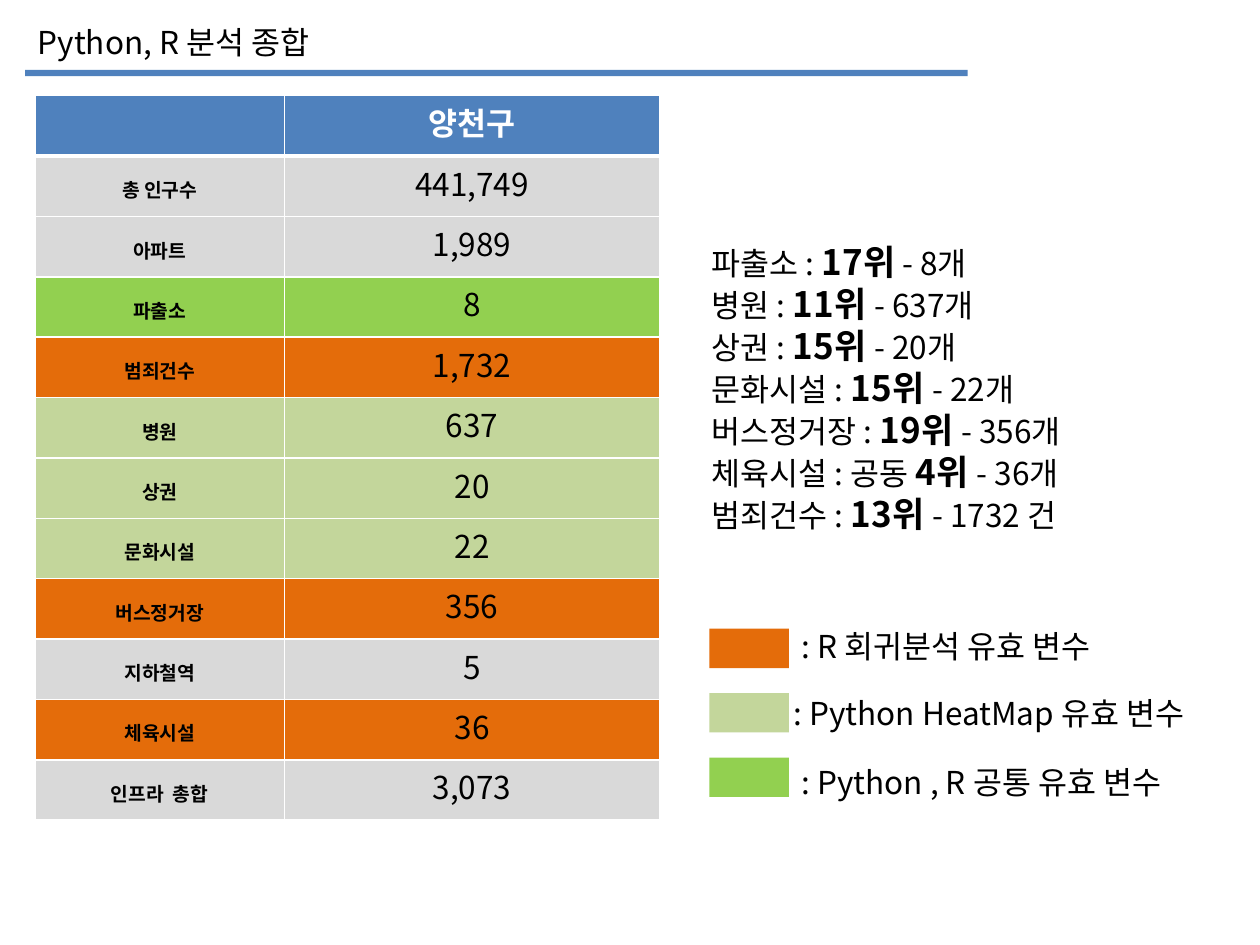
from lxml.etree import SubElement
from pptx import Presentation
from pptx.dml.color import RGBColor
from pptx.enum.shapes import MSO_SHAPE
from pptx.enum.text import MSO_ANCHOR, PP_ALIGN
from pptx.oxml.ns import qn
from pptx.util import Pt

COLORS = {"blue": "4F81BD", "gray": "D9D9D9", "green": "92D050", "orange": "E46C0A",
          "sage": "C3D69B", "white": "FFFFFF", "black": "000000"}
FONT = "Noto Sans CJK KR"

ROWS = [("총 인구수", "441,749", "gray"), ("아파트", "1,989", "gray"),
        ("파출소", "8", "green"), ("범죄건수", "1,732", "orange"),
        ("병원", "637", "sage"), ("상권", "20", "sage"),
        ("문화시설", "22", "sage"), ("버스정거장", "356", "orange"),
        ("지하철역", "5", "gray"), ("체육시설", "36", "orange"),
        ("인프라  총합", "3,073", "gray")]
RANKS = [("파출소 : ", "17위", " - 8개"), ("병원 : ", "11위 ", "- 637개"),
         ("상권 : ", "15위 ", "- 20개"), ("문화시설 : ", "15위 ", "- 22개"),
         ("버스정거장 : ", "19위 ", "- 356개"), ("체육시설 : 공동 ", "4위 ", "- 36개"),
         ("범죄건수 : ", "13위 ", "- 1732 건")]
LEGEND = [("orange", ": R 회귀분석 유효 변수", 451, 355),
          ("sage", ": Python HeatMap 유효 변수", 446.5, 393),
          ("green", ": Python , R 공통 유효 변수", 451, 432.5)]


def rgb(name):
    return RGBColor.from_string(COLORS[name])


class SlideBuilder:
    def __init__(self, prs):
        self.s = prs.slides.add_slide(prs.slide_layouts[1])

    def place(self, sp, left, top, width, height):
        box = {"left": left, "top": top, "width": width, "height": height}
        for name, value in box.items():
            setattr(sp, name, Pt(value))

    def run(self, p, text, size=18, bold=False, color="black"):
        r = p.add_run()
        r.text = text
        for name, value in {"size": Pt(size), "bold": bold, "name": FONT}.items():
            setattr(r.font, name, value)
        r.font.color.rgb = rgb(color)
        SubElement(r.font._element, qn("a:ea"), typeface=FONT)

    def paragraph(self, p, runs, spacing, align=PP_ALIGN.LEFT):
        """Fill a paragraph from (text, format values) pairs, at an exact line pitch."""
        layout = {"alignment": align, "line_spacing": Pt(spacing),
                  "space_before": Pt(0), "space_after": Pt(0)}
        for name, value in layout.items():
            setattr(p, name, value)
        for text, style in runs:
            self.run(p, text, **style)

    def frame(self, tf, wrap, anchor=MSO_ANCHOR.TOP):
        tf.word_wrap = wrap
        tf.vertical_anchor = anchor

    def title(self, text, *box):
        sp = self.s.shapes.title
        self.place(sp, *box)
        self.frame(sp.text_frame, False)
        self.paragraph(sp.text_frame.paragraphs[0], [(text, {})], 21.6)

    def ranking(self, lines, *box):
        sp = self.s.placeholders[1]
        self.place(sp, *box)
        tf = sp.text_frame
        self.frame(tf, True)
        for i, (label, rank, count) in enumerate(lines):
            p = tf.add_paragraph() if i else tf.paragraphs[0]
            self.paragraph(p, [(label, {}), (rank, {"size": 20, "bold": True}), (count, {})], 24)
            pPr = p._p.get_or_add_pPr()
            pPr.set("marL", "0")
            pPr.set("indent", "0")
            SubElement(pPr, qn("a:buNone"))

    def rect(self, color, *box):
        sp = self.s.shapes.add_shape(MSO_SHAPE.RECTANGLE, *map(Pt, box))
        sp.shadow.inherit = False
        sp.fill.solid()
        sp.fill.fore_color.rgb = rgb(color)
        sp.line.fill.background()

    def text(self, text, *box):
        tf = self.s.shapes.add_textbox(*map(Pt, box)).text_frame
        self.frame(tf, False)
        self.paragraph(tf.paragraphs[0], [(text, {})], 21.6)

    def borders(self, cell, bottom):
        tcPr = cell._tc.get_or_add_tcPr()
        for i, (side, width) in enumerate([("L", 1), ("R", 1), ("T", 1), ("B", bottom)]):
            ln = SubElement(tcPr, qn(f"a:ln{side}"), w=str(Pt(width)))
            tcPr.insert(i, ln)
            fill = SubElement(ln, qn("a:solidFill"))
            SubElement(fill, qn("a:srgbClr"), val=COLORS["white"])

    def cell(self, cell, text, fill, style, bottom=1, drop=0):
        """Style one table cell; drop lowers its text by adding to the top margin."""
        cell.fill.solid()
        cell.fill.fore_color.rgb = rgb(fill)
        cell.vertical_anchor = MSO_ANCHOR.MIDDLE
        cell.margin_top = Pt(3.6 + drop)
        if text:
            self.paragraph(cell.text_frame.paragraphs[0], [(text, style)],
                           style["size"] * 1.2, PP_ALIGN.CENTER)
        self.borders(cell, bottom)

    def table(self, heading, rows, widths, *box):
        shape = self.s.shapes.add_table(len(rows) + 1, len(widths), *map(Pt, box))
        tbl = shape.table
        for col, width in zip(tbl.columns, widths):
            col.width = Pt(width)
        for row in tbl.rows:
            row.height = Pt(box[3] / len(tbl.rows))
        head = {"size": 18, "bold": True, "color": "white"}
        for j, text in enumerate(["", heading]):
            self.cell(tbl.cell(0, j), text, "blue", head, bottom=3)
        for i, (label, value, fill) in enumerate(rows, 1):
            self.cell(tbl.cell(i, 0), label, fill, {"size": 11, "bold": True}, drop=6)
            self.cell(tbl.cell(i, 1), value, fill, {"size": 18})


def main():
    prs = Presentation()
    prs.slide_width, prs.slide_height = Pt(720), Pt(540)
    b = SlideBuilder(prs)
    b.title("Python, R 분석 종합", 14.4, 9.4, 179, 29)
    b.rect("blue", 14.4, 39.9, 538.5, 3.6)
    b.table("양천구", ROWS, [142.6, 214.4], 20, 54.7, 357, 414)
    for i, (color, label, left, top) in enumerate(LEGEND):
        b.rect(color, 405.4, 359.3 + 36.8 * i, 45.4, 22.5)
        b.text(label, left, top, 250, 29)
    b.ranking(RANKS, 399.6, 133.9, 301.7, 177)
    prs.save("out.pptx")


if __name__ == "__main__":
    main()
